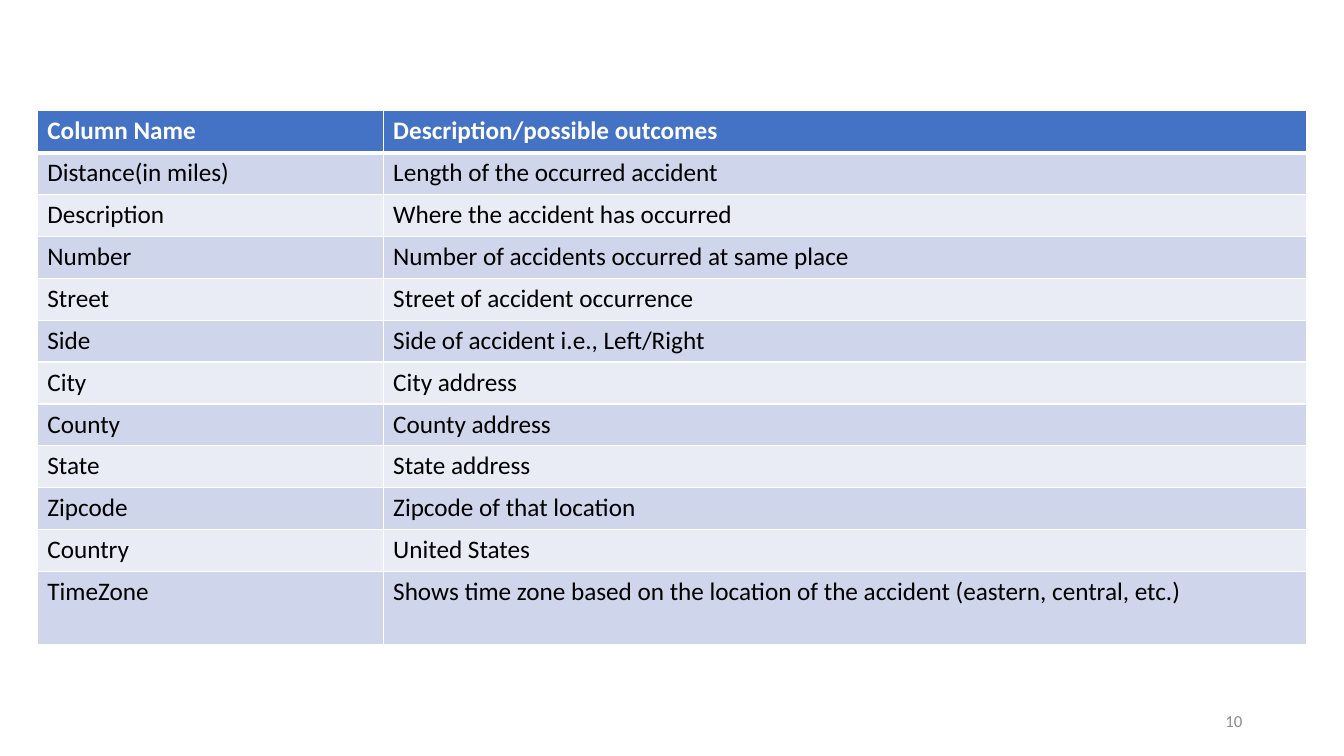
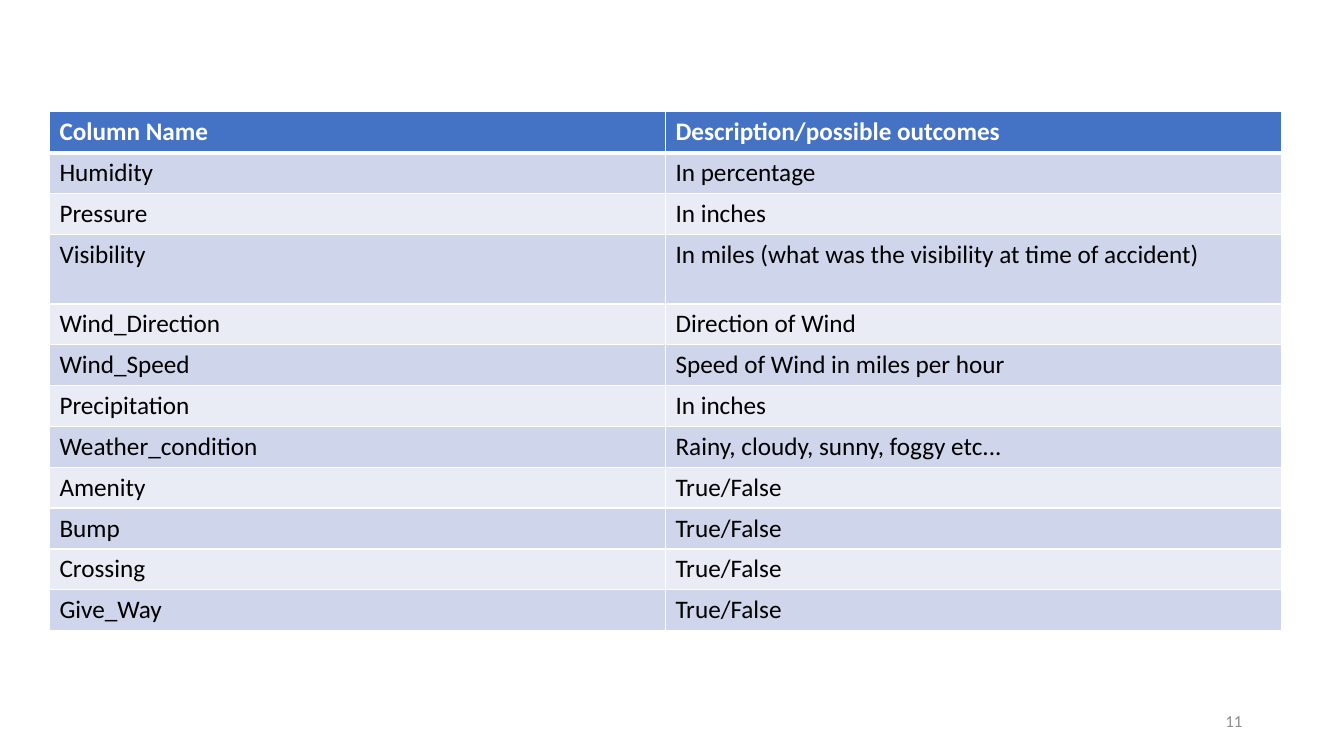
import pptx
import pptx.util
import pptx.dml.color
import pptx.enum.text
import pptx.oxml
import pptx.oxml.ns

Inches = pptx.util.Inches
HEADER = ("Column Name", "Description/possible outcomes")
LOCATION = [
    ("Distance(in miles)", "Length of the occurred accident"),
    ("Description", "Where the accident has occurred"),
    ("Number", "Number of accidents occurred at same place"),
    ("Street", "Street of accident occurrence"),
    ("Side", "Side of accident i.e., Left/Right"),
    ("City", "City address"),
    ("County", "County address"),
    ("State", "State address"),
    ("Zipcode", "Zipcode of that location"),
    ("Country", "United States"),
    ("TimeZone", "Shows time zone based on the location of the accident (eastern, central, etc.)"),
]
WEATHER = [
    ("Humidity", "In percentage"),
    ("Pressure", "In inches"),
    ("Visibility", "In miles (what was the visibility at time of accident)"),
    ("Wind_Direction", "Direction of Wind"),
    ("Wind_Speed", "Speed of Wind in miles per hour"),
    ("Precipitation", "In inches"),
    ("Weather_condition", "Rainy, cloudy, sunny, foggy etc..."),
    ("Amenity", "True/False"),
    ("Bump", "True/False"),
    ("Crossing", "True/False"),
    ("Give_Way", "True/False"),
]


def rgb(value):
    return pptx.dml.color.RGBColor.from_string(value)


class Deck:
    """Holds the shared style and the current slide."""

    font = "Calibri"
    white, black, grey = "FFFFFF", "000000", "8C8C8C"
    accent = "4472C4"
    bands = ("E9EBF5", "CFD5EA")

    def __init__(self):
        self.prs = pptx.Presentation()
        self.prs.slide_width = Inches(13.33)
        self.prs.slide_height = Inches(7.5)

    def slide(self, number):
        self.s = self.prs.slides.add_slide(self.prs.slide_layouts[6])
        tf = self.s.shapes.add_textbox(Inches(9.42), Inches(6.95), Inches(3), Inches(0.4)).text_frame
        tf.word_wrap = True
        tf.vertical_anchor = pptx.enum.text.MSO_ANCHOR.MIDDLE
        self.text(tf, str(number), 12, self.grey)
        tf.paragraphs[0].alignment = pptx.enum.text.PP_ALIGN.RIGHT

    def text(self, tf, text, size, color, bold=False):
        tf.text = text
        font = tf.paragraphs[0].runs[0].font
        font.name, font.size, font.bold = self.font, pptx.util.Pt(size), bold
        font.color.rgb = rgb(color)

    def borders(self, cell, top, bottom):
        tcPr = cell._tc.get_or_add_tcPr()
        for i, (side, width) in enumerate((("L", 1), ("R", 1), ("T", top), ("B", bottom))):
            tcPr.insert(i, pptx.oxml.parse_xml(
                f'<a:ln{side} {pptx.oxml.ns.nsdecls("a")} w="{pptx.util.Pt(width)}">'
                f'<a:solidFill><a:srgbClr val="{self.white}"/></a:solidFill></a:ln{side}>'))

    def table(self, rows, left, top, widths, height, tall_row, tall_height):
        rows = [HEADER] + rows
        t = self.s.shapes.add_table(len(rows), len(widths), Inches(left), Inches(top),
                                    Inches(sum(widths)), Inches(height)).table
        for column, width in zip(t.columns, widths):
            column.width = Inches(width)
        row_height = (height - tall_height) / (len(rows) - 1)
        for i, row in enumerate(rows):
            t.rows[i].height = Inches(tall_height if i == tall_row else row_height)
            for j, text in enumerate(row):
                cell = t.cell(i, j)
                head = i == 0
                cell.fill.solid()
                cell.fill.fore_color.rgb = rgb(self.accent if head else self.bands[i % 2])
                self.borders(cell, 3 if i == 1 else 1, 3 if head else 1)
                self.text(cell.text_frame, text, 18, self.white if head else self.black, head)


def main():
    deck = Deck()
    deck.slide(10)
    deck.table(LOCATION, 0.37, 1.1, (3.43, 9.16), 5.3, 11, 0.73)
    deck.slide(11)
    deck.table(WEATHER, 0.49, 1.11, (6.11, 6.11), 5.15, 3, 0.69)
    deck.prs.save("out.pptx")


if __name__ == "__main__":
    main()
